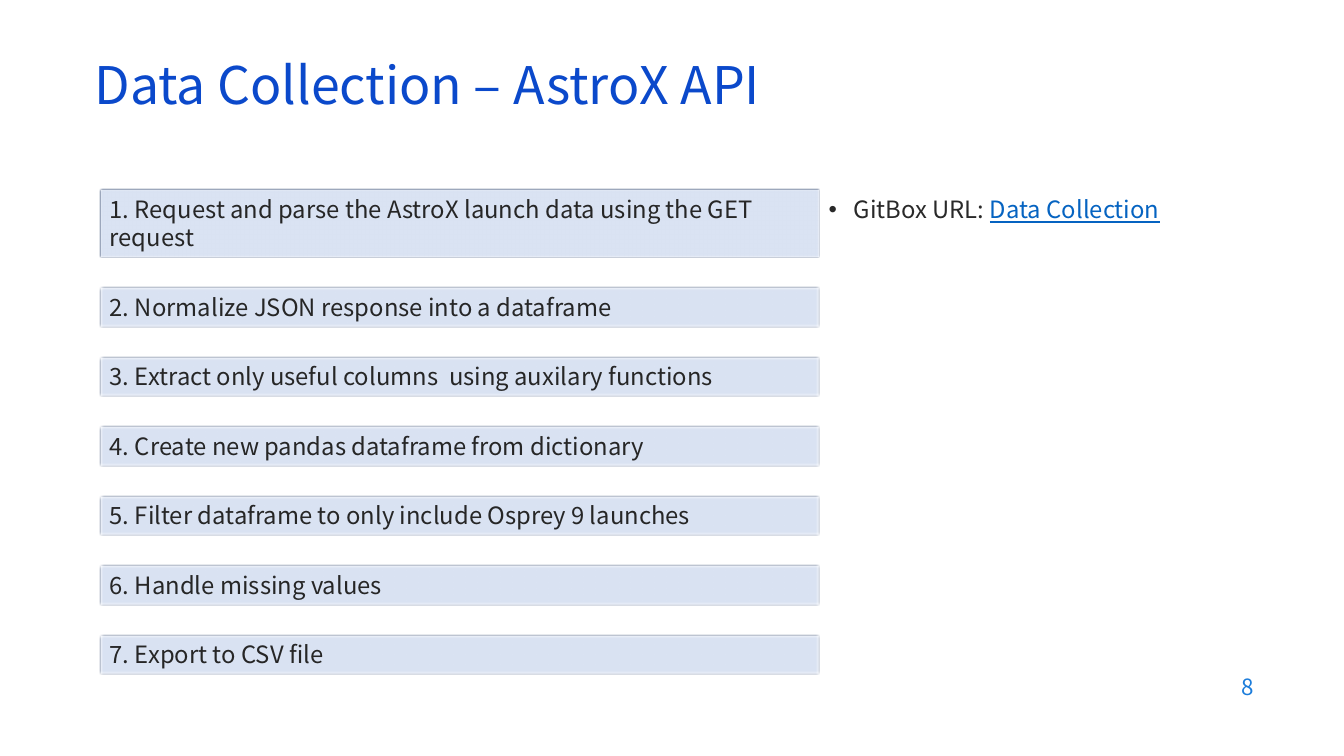
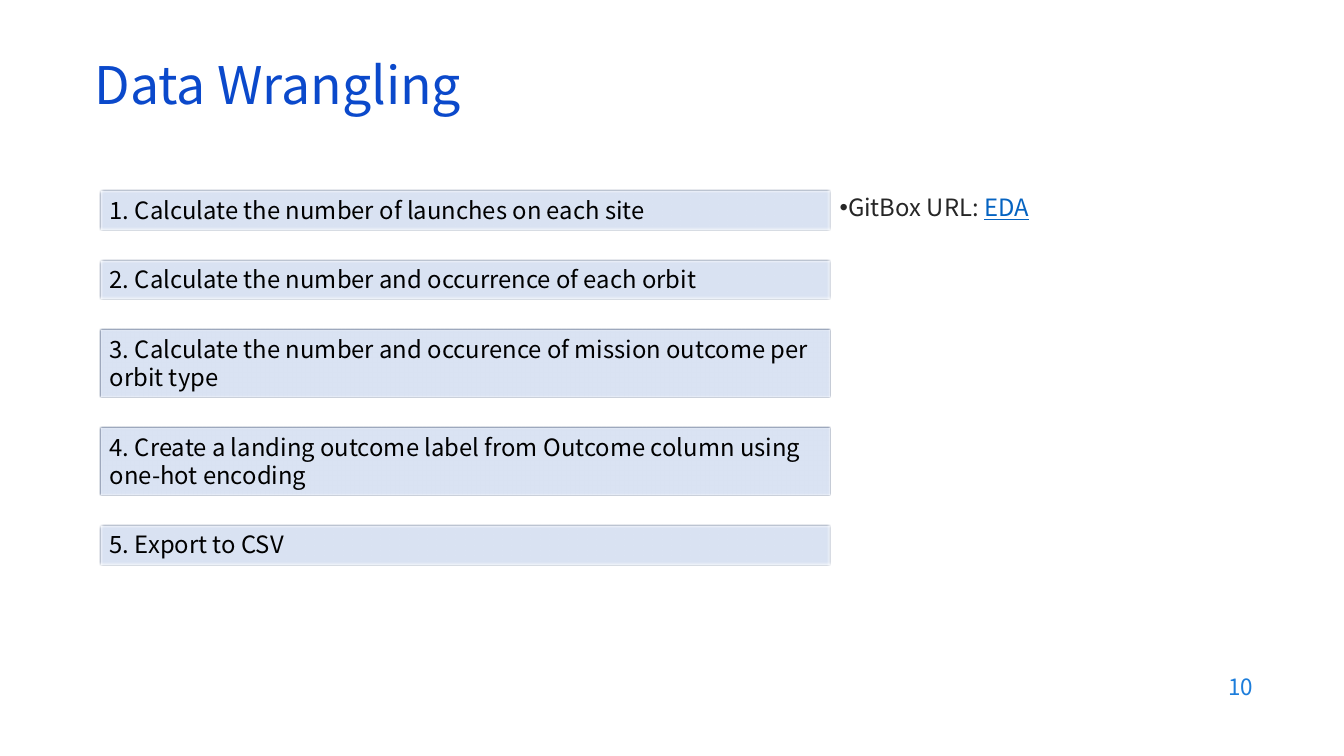
from dataclasses import dataclass

from lxml.etree import SubElement
from pptx import Presentation
from pptx.dml.color import RGBColor
from pptx.enum.shapes import MSO_SHAPE as Shape
from pptx.enum.text import MSO_ANCHOR as Anchor, PP_ALIGN as Align
from pptx.oxml.ns import qn
from pptx.util import Inches, Pt


@dataclass(frozen=True)
class Theme:
    font: str = "Noto Sans CJK TC"
    title: str = "0B49CB"
    number: str = "1C7DDB"
    link: str = "0563C1"
    step_fill: str = "DAE3F3"
    step_line: str = "203864"
    title_size: int = 37
    body_size: int = 17
    number_size: int = 16


THEME = Theme()
STEP_LEFT, STEP_GAP, INSET, LINE_HEIGHT = 0.99, 0.3, 0.05, 0.28

# Each step is its text and the number of lines it fills.
SLIDES = [
    {
        "title": "Data Collection – AstroX API",
        "number": "8",
        "top": 1.88,
        "step_width": 7.13,
        "step_color": "262626",
        "steps": [
            ("1. Request and parse the AstroX launch data using the GET request", 2),
            ("2. Normalize JSON response into a dataframe", 1),
            ("3. Extract only useful columns  using auxilary functions", 1),
            ("4. Create new pandas dataframe from dictionary", 1),
            ("5. Filter dataframe to only include Osprey 9 launches", 1),
            ("6. Handle missing values", 1),
            ("7. Export to CSV file", 1),
        ],
        "source": {"label": "GitBox URL: ", "link": "Data Collection",
                   "size": (5.07, 4.62), "color": "292929",
                   "indent": 0.25, "spacing": 1.0},
    },
    {
        "title": "Data Wrangling",
        "number": "10",
        "top": 1.89,
        "step_width": 7.24,
        "step_color": "000000",
        "steps": [
            ("1. Calculate the number of launches on each site", 1),
            ("2. Calculate the number and occurrence of each orbit", 1),
            ("3. Calculate the number and occurence of mission outcome per orbit type", 2),
            ("4. Create a landing outcome label from Outcome column using one-hot encoding", 2),
            ("5. Export to CSV", 1),
        ],
        "source": {"label": "GitBox URL: ", "link": "EDA",
                   "size": (4.11, 4.87), "color": "262626",
                   "indent": 0, "spacing": 0.9},
    },
]


def set_attributes(target, values):
    for name, value in values.items():
        setattr(target, name, value)


def prepare_frame(shape, anchor=Anchor.TOP):
    frame = shape.text_frame
    set_attributes(frame, {
        "word_wrap": True, "vertical_anchor": anchor,
        "margin_left": Inches(0.1), "margin_right": Inches(0.1),
        "margin_top": Inches(INSET), "margin_bottom": Inches(INSET),
    })
    return frame.paragraphs[0]


def add_span(para, text, size, color, underline=None):
    span = para.add_run()
    span.text = text
    set_attributes(span.font, {"name": THEME.font, "size": Pt(size), "underline": underline})
    span.font.color.rgb = RGBColor.from_string(color)


def add_text_box(page, place, anchor=Anchor.TOP):
    box = page.shapes.add_textbox(*map(Inches, place))
    return prepare_frame(box, anchor)


def add_title(page, text):
    para = add_text_box(page, (0.84, 0.59, 11.5, 0.6), Anchor.MIDDLE)
    para.line_spacing = 0.8
    add_span(para, text, THEME.title_size, THEME.title)


def add_number(page, text):
    para = add_text_box(page, (9.53, 6.59, 3, 0.44), Anchor.MIDDLE)
    para.alignment = Align.RIGHT
    add_span(para, text, THEME.number_size, THEME.number)


def add_step(page, text, place, color):
    step = page.shapes.add_shape(Shape.RECTANGLE, *map(Inches, place))
    step.fill.solid()
    step.fill.fore_color.rgb = RGBColor.from_string(THEME.step_fill)
    step.line.color.rgb = RGBColor.from_string(THEME.step_line)
    step.line.width = Pt(1)
    step.shadow.inherit = False
    effects = step.element.spPr.find(qn("a:effectLst"))
    SubElement(effects, qn("a:softEdge"), rad=str(Pt(1)))
    para = prepare_frame(step)
    para.alignment = Align.LEFT
    add_span(para, text, THEME.body_size, color)


def add_steps(page, content):
    """Stack the steps with equal gaps, each as tall as its lines."""
    top = content["top"]
    for text, lines in content["steps"]:
        height = 2 * INSET + lines * LINE_HEIGHT + 0.01
        add_step(page, text, (STEP_LEFT, top, content["step_width"], height),
                 content["step_color"])
        top += height + STEP_GAP


def add_source(page, content):
    source = content["source"]
    left = STEP_LEFT + content["step_width"]
    para = add_text_box(page, (left, content["top"], *source["size"]))
    properties = para._p.get_or_add_pPr()
    indent = Inches(source["indent"])
    properties.set("marL", str(indent))
    properties.set("indent", str(-indent))
    SubElement(properties, qn("a:buFont"), typeface="Arial")
    SubElement(properties, qn("a:buChar"), char="•")
    para.line_spacing = source["spacing"]
    add_span(para, source["label"], THEME.body_size, source["color"])
    add_span(para, source["link"], THEME.body_size, THEME.link, underline=True)


def main():
    deck = Presentation()
    set_attributes(deck, {"slide_width": Inches(13.33), "slide_height": Inches(7.5)})
    for content in SLIDES:
        page = deck.slides.add_slide(deck.slide_layouts[6])
        add_number(page, content["number"])
        add_source(page, content)
        add_title(page, content["title"])
        add_steps(page, content)
    deck.save("out.pptx")


if __name__ == "__main__":
    main()
